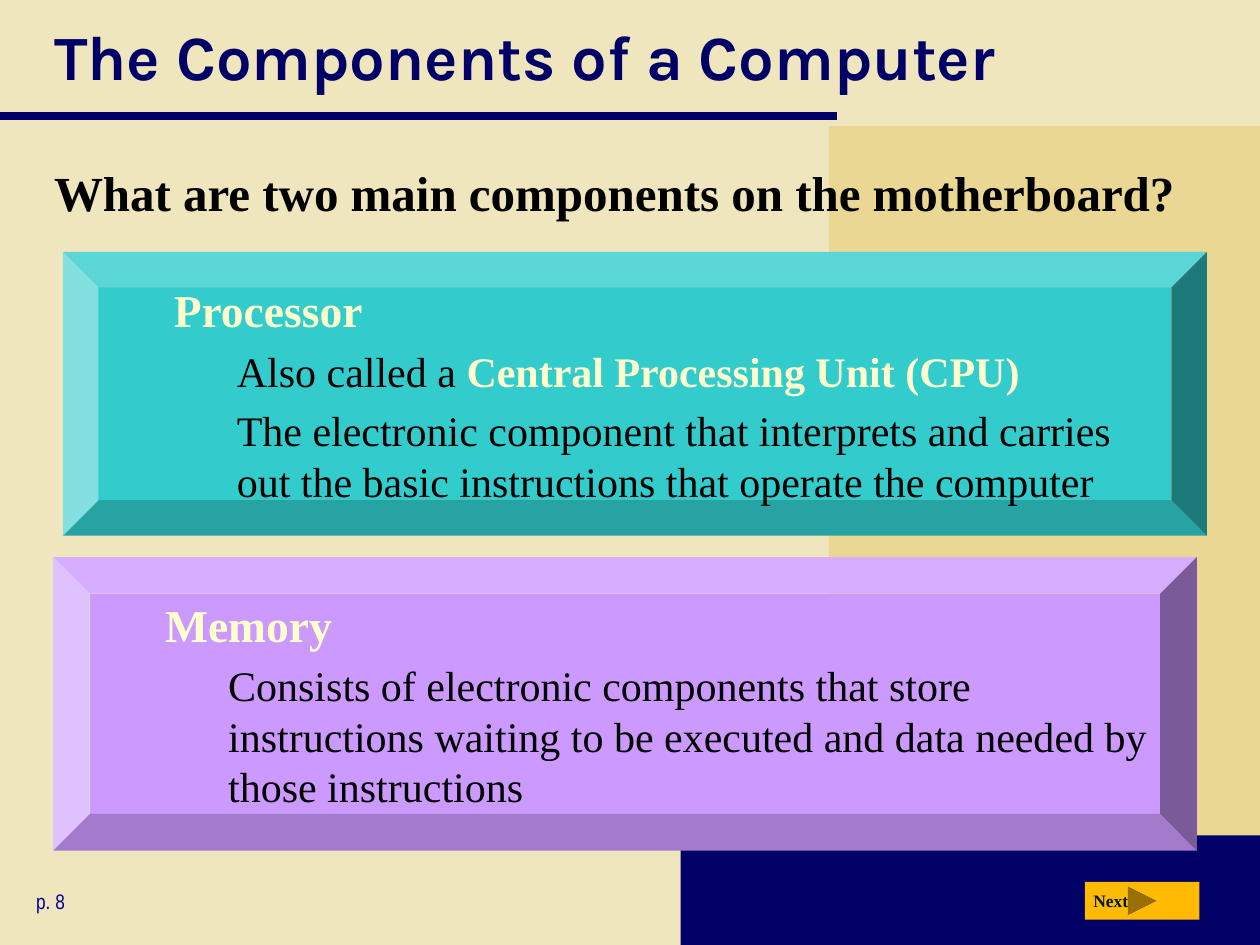
from lxml import etree
from pptx import Presentation
from pptx import util as u
from pptx.dml.color import RGBColor
from pptx.enum import shapes, text
from pptx.oxml.ns import qn

COLORS = {
    "cream": "F0E6BE", "sand": "E9D793", "navy": "000066", "blue": "000099",
    "teal": "33CCCC", "violet": "CC99FF", "amber": "FFBA02",
    "black": "000000", "ivory": "FFFFCC", "ink": "001932",
}
SERIF = "Times New Roman"


def rgb(name):
    return RGBColor.from_string(COLORS[name])


def write(paragraph, content, size=24, color="black", font=SERIF, bold=False):
    paragraph.alignment = text.PP_ALIGN.LEFT
    for i, line in enumerate(content.split("\n")):
        if i:
            paragraph.add_line_break()
        run = paragraph.add_run()
        run.text = line
        run.font.size = u.Pt(size)
        run.font.name = font
        run.font.bold = bold
        run.font.color.rgb = rgb(color)


deck = Presentation()
deck.slide_width, deck.slide_height = u.Cm(25.4), u.Cm(19.05)
slide = deck.slides.add_slide(deck.slide_layouts[5])
slide.background.fill.solid()
slide.background.fill.fore_color.rgb = rgb("cream")

title = slide.shapes.title
title.left, title.top, title.width, title.height = u.Cm(0.84), u.Cm(0), u.Cm(23.85), u.Cm(2.24)
title.text_frame.vertical_anchor = text.MSO_ANCHOR.MIDDLE
write(title.text_frame.paragraphs[0], "The Components of a Computer",
      size=36, color="navy", font="Karla", bold=True)

kinds = shapes.MSO_SHAPE
blocks = [
    (kinds.RECTANGLE, "sand", (16.71, 2.54, 8.69, 16.51), []),
    (kinds.RECTANGLE, "navy", (13.72, 16.84, 11.68, 2.21), []),
    (kinds.BEVEL, "teal", (1.27, 5.08, 23.06, 5.72), [
        [("Processor", "ivory", True)],
        [("Also called a ", "black", False), ("Central Processing Unit (CPU)", "ivory", True)],
        [("The electronic component that interprets and carries \n"
          "out the basic instructions that operate the computer", "black", False)],
    ]),
    (kinds.BEVEL, "violet", (1.07, 11.23, 23.06, 5.92), [
        [("Memory", "ivory", True)],
        [("Consists of electronic components that store \n"
          "instructions waiting to be executed and data needed by \n"
          "those instructions", "black", False)],
    ]),
    (kinds.ACTION_BUTTON_FORWARD_OR_NEXT, "amber", (21.87, 17.78, 2.31, 0.76), []),
]
for kind, color, box, points in blocks:
    block = slide.shapes.add_shape(kind, *map(u.Cm, box))
    block.shadow.inherit = False
    block.fill.solid()
    block.fill.fore_color.rgb = rgb(color)
    block.line.fill.background()
    frame = block.text_frame
    frame.vertical_anchor = text.MSO_ANCHOR.MIDDLE
    frame.word_wrap = False
    for i, pieces in enumerate(points):
        point = frame.add_paragraph() if i else frame.paragraphs[0]
        point.level = 2 if i else 1
        margins = point._p.get_or_add_pPr()
        margins.set("marL", str(u.Cm(2.54 if i else 1.27)))
        margins.set("indent", "0")
        if i:
            point.space_before = u.Pt(5)
        for content, ink, bold in pieces:
            write(point, content, size=24 if i else 26, color=ink, bold=bold)

rule = slide.shapes.add_connector(shapes.MSO_CONNECTOR.STRAIGHT,
                                  u.Cm(0), u.Cm(2.34), u.Cm(16.87), u.Cm(2.34))
rule.line.color.rgb = rgb("navy")
rule.line.width = u.Pt(5)
etree.SubElement(rule._element.spPr, qn("a:effectLst"))

labels = [
    ("What are two main components on the motherboard?", (0.84, 3.15, 23.85, 1.5),
     dict(size=28, bold=True)),
    ("p. 8", (0.48, 17.78, 4.29, 0.76), dict(size=12, color="blue", font="Arial Narrow")),
    ("Next", (21.79, 17.81, 1.3, 0.69), dict(size=10, color="ink", bold=True)),
]
for content, box, style in labels:
    label = slide.shapes.add_textbox(*map(u.Cm, box)).text_frame
    label.word_wrap = True
    write(label.paragraphs[0], content, **style)

deck.save("out.pptx")
